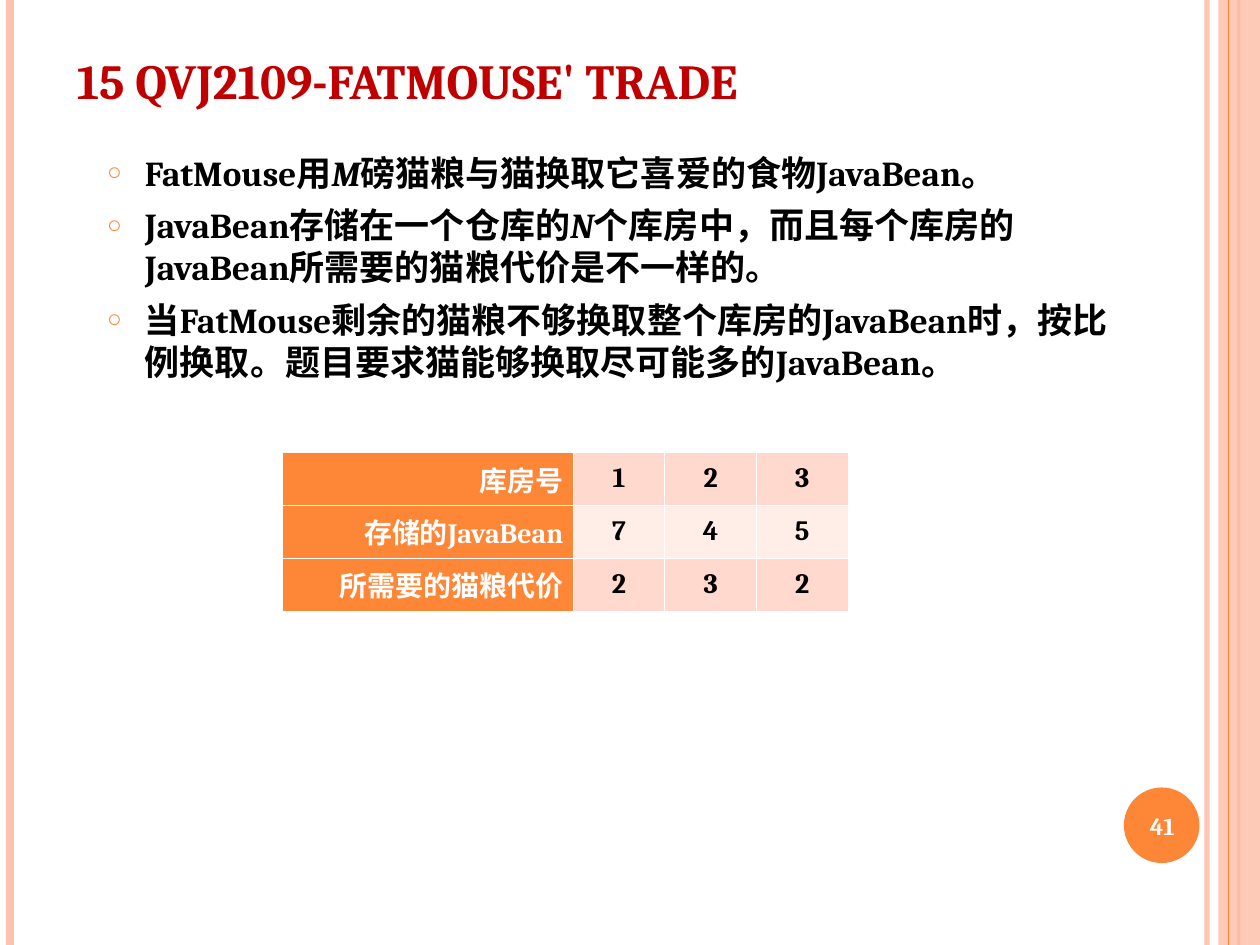
from dataclasses import dataclass

from lxml.etree import SubElement
from pptx import Presentation
from pptx.dml.color import RGBColor
from pptx.enum.shapes import MSO_CONNECTOR, MSO_SHAPE
from pptx.enum.text import MSO_ANCHOR, MSO_AUTO_SIZE, PP_ALIGN
from pptx.oxml.ns import qn
from pptx.util import Inches, Pt


@dataclass(frozen=True)
class Theme:
    """Colours, font and type sizes of the deck."""
    font: str = "Cambria"
    title: str = "C00000"
    text: str = "000000"
    light: str = "FFFFFF"
    accent: str = "FE8637"
    pale: str = "FEC3AE"
    bands: tuple = ("FFD9CE", "FFEDE8")
    title_size: int = 28
    body_size: int = 20
    table_size: int = 16
    number_size: int = 14


class SlideBuilder:
    """Draws on one slide, with lengths in a grid of 100 columns by 75 rows."""

    def __init__(self, prs, theme):
        """Add a title-and-content slide and keep its grid step."""
        self.s = prs.slides.add_slide(prs.slide_layouts[1])
        self.t = theme
        self.col = prs.slide_width / 100
        self.row = prs.slide_height / 75

    def box(self, x, y, w, h):
        """Turn grid units into slide lengths."""
        return (round(x * self.col), round(y * self.row),
                round(w * self.col), round(h * self.row))

    def place(self, sp, area):
        """Move a placeholder to an area of the grid."""
        sp.left, sp.top, sp.width, sp.height = self.box(*area)
        sp.text_frame.auto_size = MSO_AUTO_SIZE.NONE
        return sp.text_frame

    def style(self, p, size, color, align=PP_ALIGN.LEFT):
        """Format a paragraph and all its runs."""
        p.alignment = align
        for r in p.runs:
            r.font.name, r.font.size, r.font.bold = self.t.font, Pt(size), True
            r.font.color.rgb = RGBColor.from_string(color)

    def alpha(self, fill, percent):
        """Make a solid fill or line see-through."""
        clr = fill.find(".//" + qn("a:srgbClr"))
        SubElement(clr, qn("a:alpha"), val=str(percent * 1000))

    def title(self, text, area):
        """Fill the title placeholder."""
        tf = self.place(self.s.shapes.title, area)
        tf.text = text
        tf.vertical_anchor = MSO_ANCHOR.BOTTOM
        self.style(tf.paragraphs[0], self.t.title_size, self.t.title)

    def bullets(self, items, area):
        """Fill the body placeholder; the odd parts of an item are italic."""
        tf = self.place(self.s.placeholders[1], area)
        for i, parts in enumerate(items):
            p = tf.add_paragraph() if i else tf.paragraphs[0]
            for j, part in enumerate(parts):
                r = p.add_run()
                r.text = part
                r.font.italic = j % 2 == 1
            self.style(p, self.t.body_size, self.t.text)
            p.space_before = Pt(6)
            pPr = p._p.get_or_add_pPr()
            indent = Inches(0.3)
            pPr.set("marL", str(indent))
            pPr.set("indent", str(-indent))
            clr = SubElement(pPr, qn("a:buClr"))
            SubElement(clr, qn("a:srgbClr"), val=self.t.accent)
            SubElement(pPr, qn("a:buSzPct"), val="70000")
            SubElement(pPr, qn("a:buChar"), char="○")

    def stripe(self, x, color, width, opacity=100):
        """Draw a vertical line over the full height."""
        left, top, _, h = self.box(x, 0, 0, 75)
        cx = self.s.shapes.add_connector(
            MSO_CONNECTOR.STRAIGHT, left, top, left, h)
        cx.line.color.rgb = RGBColor.from_string(color)
        cx.line.width = Pt(width)
        spPr = cx._element.spPr
        if opacity < 100:
            self.alpha(spPr, opacity)
        SubElement(spPr, qn("a:effectLst"))

    def shape(self, kind, area, color, opacity=100):
        """Draw a filled shape without outline."""
        sp = self.s.shapes.add_shape(kind, *self.box(*area))
        sp.shadow.inherit = False
        sp.fill.solid()
        sp.fill.fore_color.rgb = RGBColor.from_string(color)
        sp.line.fill.background()
        if opacity < 100:
            self.alpha(sp._element.spPr, opacity)

    def number(self, text, area):
        """Write the slide number in a centred text box."""
        tf = self.s.shapes.add_textbox(*self.box(*area)).text_frame
        tf.word_wrap = True
        tf.vertical_anchor = MSO_ANCHOR.MIDDLE
        tf.text = text
        self.style(tf.paragraphs[0], self.t.number_size, self.t.light,
                   PP_ALIGN.CENTER)

    def borders(self, cell):
        """Draw thin light borders around a cell."""
        tcPr = cell._tc.get_or_add_tcPr()
        for side in "LRTB":
            ln = SubElement(tcPr, qn(f"a:ln{side}"), w=str(Pt(0.45)))
            fill = SubElement(ln, qn("a:solidFill"))
            SubElement(fill, qn("a:srgbClr"), val=self.t.light)

    def table(self, rows, area, head_width):
        """Build a table with a heading column and equal value columns."""
        n = len(rows[0])
        tbl = self.s.shapes.add_table(len(rows), n, *self.box(*area)).table
        widths = [head_width] + [(area[2] - head_width) / (n - 1)] * (n - 1)
        for column, width in zip(tbl.columns, widths):
            column.width = round(width * self.col)
        for i, row in enumerate(rows):
            for j, text in enumerate(row):
                cell = tbl.cell(i, j)
                cell.text = text
                cell.vertical_anchor = MSO_ANCHOR.MIDDLE
                cell.margin_left = cell.margin_right = Inches(0.08)
                self.borders(cell)
                cell.fill.solid()
                fill, color, align = (
                    (self.t.bands[i % 2], self.t.text, PP_ALIGN.CENTER) if j
                    else (self.t.accent, self.t.light, PP_ALIGN.RIGHT))
                cell.fill.fore_color.rgb = RGBColor.from_string(fill)
                self.style(cell.text_frame.paragraphs[0],
                           self.t.table_size, color, align)


def main():
    """Build and save the slide."""
    prs = Presentation()
    prs.slide_width, prs.slide_height = Inches(10), Inches(7.5)
    t = Theme()
    b = SlideBuilder(prs, t)
    b.stripe(95.8, t.pale, 3, 93)
    b.stripe(0.8, t.pale, 4.5)
    b.stripe(98.3, t.accent, 1.5)
    b.shape(MSO_SHAPE.RECTANGLE, (96.7, 0, 3.3, 75), t.pale, 87)
    b.stripe(97.5, t.accent, 0.75)
    b.shape(MSO_SHAPE.OVAL, (89.2, 62.5, 6, 6), t.accent)
    b.title("15 QVJ2109-FATMOUSE' TRADE", (5.1, 0.5, 89.9, 8.7))
    b.bullets([
        ("FatMouse用", "M", "磅猫粮与猫换取它喜爱的食物JavaBean。"),
        ("JavaBean存储在一个仓库的", "N",
         "个库房中，而且每个库房的JavaBean所需要的猫粮代价是不一样的。"),
        ("当FatMouse剩余的猫粮不够换取整个库房的JavaBean时，"
         "按比例换取。题目要求猫能够换取尽可能多的JavaBean。",),
    ], (7.5, 11.5, 83.6, 28.4))
    b.number("41", (88.9, 62.7, 6.7, 5.7))
    b.table([
        ("库房号", "1", "2", "3"),
        ("存储的JavaBean", "7", "4", "5"),
        ("所需要的猫粮代价", "2", "3", "2"),
    ], (22.4, 35.9, 44.9, 12.6), 23.1)
    prs.save("out.pptx")


if __name__ == "__main__":
    main()
